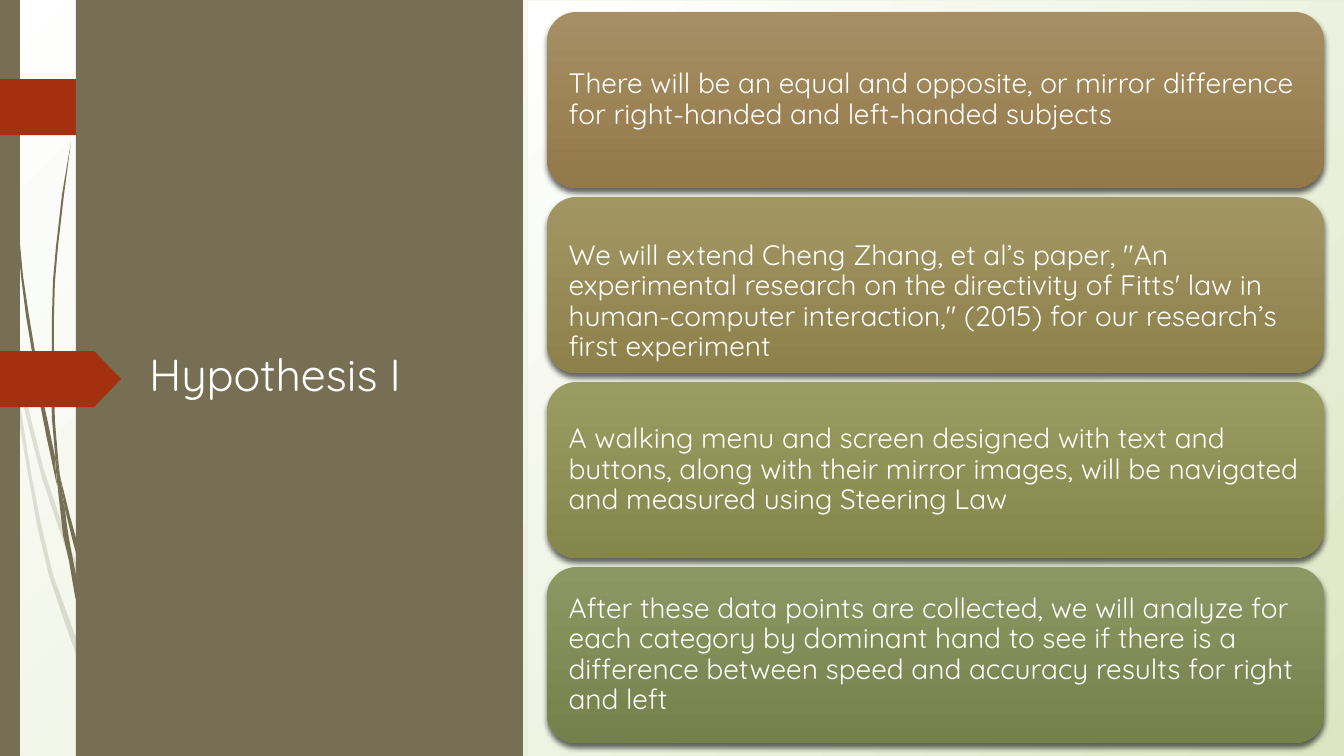
"""Build the Hypothesis I slide with its grass motif and four gradient cards."""
from lxml.etree import SubElement
from pptx import Presentation
from pptx.dml.color import RGBColor
from pptx.enum.shapes import MSO_SHAPE
from pptx.enum.text import MSO_ANCHOR, MSO_AUTO_SIZE, PP_ALIGN
from pptx.oxml.ns import qn
from pptx.util import Pt

EMU_PER_PX = 914400 / 100.8
SLIDE_WIDTH, SLIDE_HEIGHT = 1344, 756
FONT = "Quicksand"
COLORS = {"olive": "766F54", "red": "A53010", "white": "FFFFFF", "mint": "DDE6C3", "black": "000000"}

TITLE = "Hypothesis I"
CARDS = [
    {"text": "There will be an equal and opposite, or mirror difference for right-handed "
             "and left-handed subjects",
     "stops": ("A78F65", "937949"), "inset_top": 7},
    {"text": "We will extend Cheng Zhang, et al’s paper, \"An experimental research on the "
             "directivity of Fitts' law in human-computer interaction,\" (2015) for our "
             "research’s first experiment",
     "stops": ("A29664", "8D804A"), "inset_top": 41},
    {"text": "A walking menu and screen designed with text and buttons, along with their "
             "mirror images, will be navigated and measured using Steering Law",
     "stops": ("9B9C62", "84864A"), "inset_top": 7},
    {"text": "After these data points are collected, we will analyze for each category by "
             "dominant hand to see if there is a difference between speed and accuracy "
             "results for right and left",
     "stops": ("8C9763", "75804B"), "inset_top": 7},
]
CARD_LEFT, CARD_TOP, CARD_WIDTH, CARD_HEIGHT, CARD_PITCH = 547, 12, 777, 176, 185

PALE_BLADES = [
    [(11, 353), (9, 325), (0, 284), (0, 301), (10, 347)],
    [(58, 526), (85, 604), (86, 591), (62, 524), (43, 467), (28, 407), (14, 348),
     (17, 379), (29, 428), (42, 478)],
    [(94, 688), (71, 624), (53, 575), (41, 524), (31, 473), (26, 442), (21, 410), (17, 379),
     (11, 353), (15, 393), (21, 433), (28, 474), (37, 525), (49, 576), (66, 626), (92, 699),
     (102, 720), (100, 713)],
]
DARK_BLADES = [
    [(7, 111), (9, 152), (12, 194), (17, 235), (21, 276), (26, 316), (33, 358), (39, 399),
     (47, 439), (56, 481), (57, 485), (55, 461), (55, 457), (48, 423), (41, 391), (36, 358),
     (29, 316), (23, 276), (19, 234), (14, 193), (10, 152), (8, 110), (5, 48), (4, 0),
     (3, 0), (4, 48)],
    [(89, 597), (107, 650), (107, 638), (94, 595), (81, 556), (70, 516), (60, 476),
     (65, 509), (72, 538), (80, 568)],
    [(111, 697), (99, 662), (88, 629), (80, 595), (73, 560), (70, 544), (67, 526), (65, 509),
     (57, 481), (60, 508), (63, 535), (69, 561), (75, 596), (84, 630), (94, 664), (112, 714),
     (118, 728), (117, 723)],
    [(60, 476), (58, 457), (55, 421), (54, 387), (54, 352), (54, 317), (55, 282), (58, 247),
     (64, 195), (71, 142), (62, 195), (56, 247), (53, 281), (52, 317), (52, 352), (51, 385),
     (52, 419), (55, 453)],
    [(57, 481), (65, 509), (60, 476), (55, 453), (55, 457)],
]


def px(length):
    return round(length * EMU_PER_PX)


def fill_solid(shape, color, alpha=None):
    shape.shadow.inherit = False
    shape.line.fill.background()
    shape.fill.solid()
    shape.fill.fore_color.rgb = RGBColor.from_string(color)
    if alpha is not None:
        color_element = shape.element.find(".//" + qn("a:srgbClr"))
        SubElement(color_element, qn("a:alpha")).set("val", str(alpha * 1000))


def fill_gradient(fill, colors, owner, radial=False):
    fill.gradient()
    for stop, color in zip(fill.gradient_stops, colors):
        stop.color.rgb = RGBColor.from_string(color)
    if not radial:
        fill.gradient_angle = 270
        return
    gradient = owner.element.find(".//" + qn("a:gradFill"))
    gradient.remove(gradient.find(qn("a:lin")))
    circle = SubElement(gradient, qn("a:path"), path="circle")
    SubElement(circle, qn("a:fillToRect"), r="100000", b="100000")


def add_card_shadow(shape):
    shape.shadow.inherit = False
    effects = shape.element.spPr.find(qn("a:effectLst"))
    shadow = SubElement(effects, qn("a:outerShdw"), blurRad=str(Pt(4)), dist=str(Pt(3)),
                        dir="5400000", algn="ctr", rotWithShape="0")
    color = SubElement(shadow, qn("a:srgbClr"), val=COLORS["black"])
    SubElement(color, qn("a:alpha"), val="60000")


def add_blade(shapes, points, alpha=None):
    builder = shapes.build_freeform(*points[0], scale=EMU_PER_PX)
    builder.add_line_segments(points[1:], close=True)
    fill_solid(builder.convert_to_shape(), COLORS["olive"], alpha)


def add_box(shapes, kind, left, top, width, height):
    return shapes.add_shape(kind, px(left), px(top), px(width), px(height))


def write_text(shape, text, size, anchor, insets, line_spacing=1.0):
    frame = shape.text_frame
    frame.word_wrap = True
    frame.auto_size = MSO_AUTO_SIZE.NONE
    frame.vertical_anchor = anchor
    frame.margin_left, frame.margin_top, frame.margin_right, frame.margin_bottom = map(px, insets)
    paragraph = frame.paragraphs[0]
    paragraph.text = text
    paragraph.alignment = PP_ALIGN.LEFT
    paragraph.line_spacing = line_spacing
    paragraph.font.name = FONT
    paragraph.font.size = Pt(size)
    paragraph.font.color.rgb = RGBColor.from_string(COLORS["white"])


def add_tag(shapes, top, width, point):
    tag = add_box(shapes, MSO_SHAPE.PENTAGON, 0, top, width, 56)
    tag.adjustments[0] = point
    fill_solid(tag, COLORS["red"])
    return tag


def main():
    presentation = Presentation()
    presentation.slide_width, presentation.slide_height = px(SLIDE_WIDTH), px(SLIDE_HEIGHT)
    slide = presentation.slides.add_slide(presentation.slide_layouts[5])
    shapes = slide.shapes
    backdrop = (COLORS["white"], COLORS["mint"])
    fill_gradient(slide.background.fill, backdrop, slide, radial=True)

    for blade in PALE_BLADES:
        add_blade(shapes, blade, alpha=20)
    for blade in DARK_BLADES:
        add_blade(shapes, blade)
    edge = add_box(shapes, MSO_SHAPE.RECTANGLE, 0, 0, 20, SLIDE_HEIGHT)
    fill_solid(edge, COLORS["olive"])
    add_tag(shapes, 79, 175, 0.45)

    content_panel = add_box(shapes, MSO_SHAPE.RECTANGLE, 528, 2, 816, 754)
    content_panel.shadow.inherit = False
    content_panel.line.fill.background()
    fill_gradient(content_panel.fill, backdrop, content_panel, radial=True)
    title_panel = add_box(shapes, MSO_SHAPE.RECTANGLE, 76, 0, 447, SLIDE_HEIGHT)
    fill_solid(title_panel, COLORS["olive"])
    title_tag = add_tag(shapes, 351, 121, 0.48)

    title = shapes.title
    title.left, title.top, title.width, title.height = map(px, (139, 342, 299, 334))
    write_text(title, TITLE, 32, MSO_ANCHOR.TOP, (10, 5, 10, 5))
    title_tag.element.addnext(title.element)

    for index, card in enumerate(CARDS):
        shape = add_box(shapes, MSO_SHAPE.ROUNDED_RECTANGLE, CARD_LEFT,
                        CARD_TOP + index * CARD_PITCH, CARD_WIDTH, CARD_HEIGHT)
        shape.line.fill.background()
        fill_gradient(shape.fill, card["stops"], shape)
        add_card_shadow(shape)
        write_text(shape, card["text"], 20, MSO_ANCHOR.MIDDLE,
                   (13, card["inset_top"], 13, 7), line_spacing=0.9)

    presentation.save("out.pptx")


if __name__ == "__main__":
    main()
